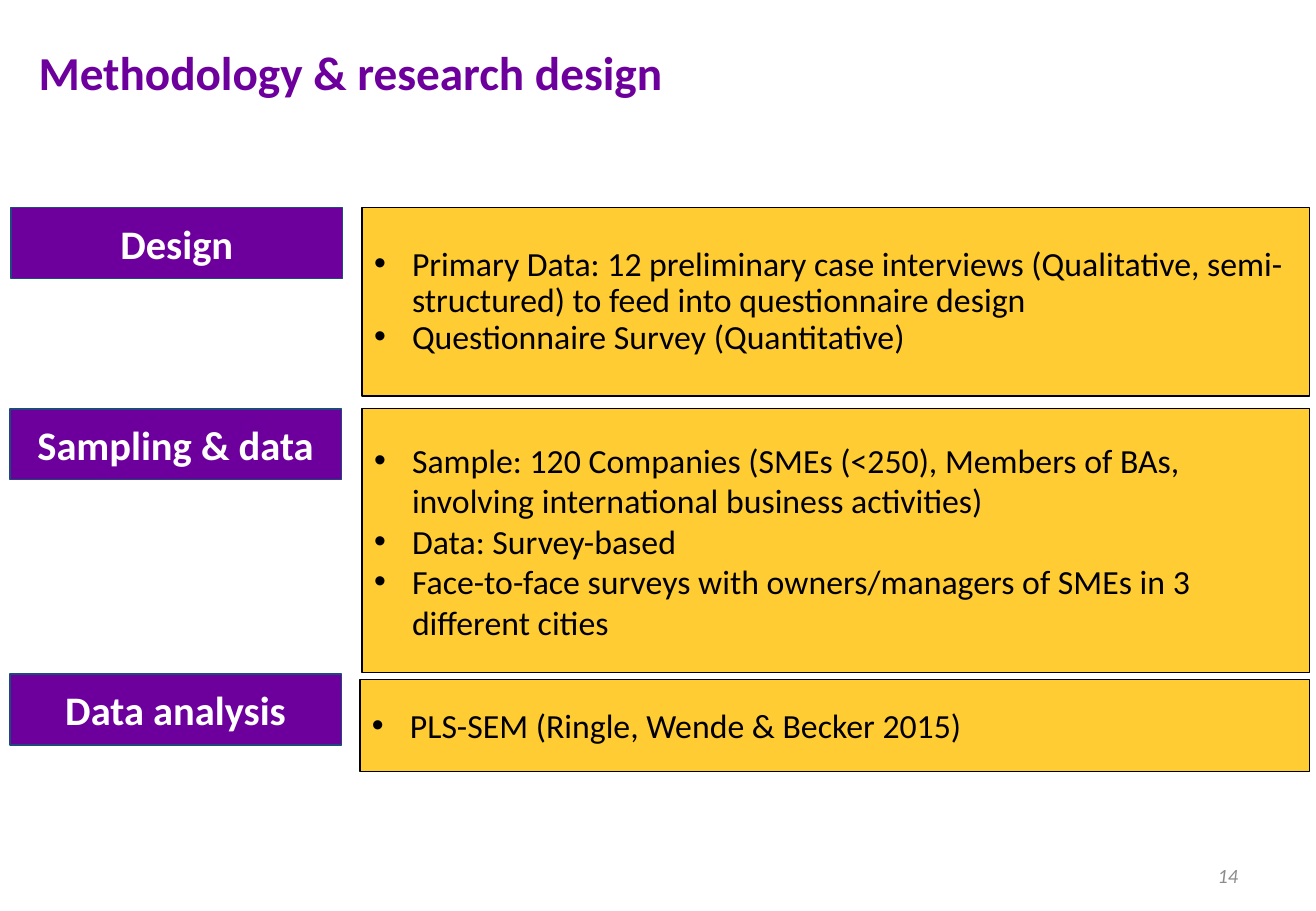
"""Builds the methodology and research design slide."""
from lxml.etree import SubElement
from pptx import Presentation
from pptx.dml.color import RGBColor
from pptx.enum.shapes import MSO_SHAPE
from pptx.enum.text import MSO_ANCHOR, PP_ALIGN
from pptx.oxml.ns import qn
from pptx.util import Pt

COLOURS = {"purple": "6D009D", "gold": "FFCC33", "navy": "1F497D",
           "black": "000000", "white": "FFFFFF", "grey": "8C8C8C"}


class MethodSlide:
    font = "Calibri"
    indent = 22.5

    def __init__(self, slide):
        self.slide = slide

    def colour(self, name):
        return RGBColor.from_string(COLOURS[name])

    def fill_text(self, frame, lines, size, colour, align=PP_ALIGN.LEFT,
                  bold=False, italic=False, bullets=False, spacing=None):
        frame.word_wrap = True
        frame.vertical_anchor = MSO_ANCHOR.MIDDLE
        for index, line in enumerate(lines):
            paragraph = frame.paragraphs[0] if index == 0 else frame.add_paragraph()
            paragraph.alignment = align
            if spacing:
                paragraph.line_spacing = spacing
            if bullets:
                self.bullet(paragraph)
            run = paragraph.add_run()
            run.text = line
            run.font.name = self.font
            run.font.size = Pt(size)
            run.font.bold = bold
            run.font.italic = italic
            run.font.color.rgb = self.colour(colour)

    def bullet(self, paragraph):
        properties = paragraph._p.get_or_add_pPr()
        properties.set("marL", str(Pt(self.indent)))
        properties.set("indent", str(-Pt(self.indent)))
        SubElement(properties, qn("a:buFont"), typeface="Arial")
        SubElement(properties, qn("a:buChar"), char="•")

    def text(self, left, top, width, height, line, **style):
        box = self.slide.shapes.add_textbox(Pt(left), Pt(top), Pt(width), Pt(height))
        self.fill_text(box.text_frame, [line], **style)

    def panel(self, left, top, width, height, fill, edge, weight, lines, **style):
        panel = self.slide.shapes.add_shape(
            MSO_SHAPE.RECTANGLE, Pt(left), Pt(top), Pt(width), Pt(height))
        panel.shadow.inherit = False
        panel.fill.solid()
        panel.fill.fore_color.rgb = self.colour(fill)
        panel.line.color.rgb = self.colour(edge)
        panel.line.width = Pt(weight)
        self.fill_text(panel.text_frame, lines, **style)

    def heading(self, left, top, label):
        self.panel(left, top, 196.6, 42, "purple", "navy", 1, [label],
                   size=24, colour="white", align=PP_ALIGN.CENTER, bold=True)

    def details(self, left, top, height, lines, spacing):
        self.panel(left, top, 776 - left, height, "gold", "black", 0.75, lines,
                   size=20, colour="black", bullets=True, spacing=spacing)


def main():
    deck = Presentation()
    deck.slide_width, deck.slide_height = Pt(780), Pt(540)
    method = MethodSlide(deck.slides.add_slide(deck.slide_layouts[6]))

    method.text(15.8, 9.4, 743, 65.5, "Methodology & research design",
                size=28, colour="purple", bold=True)

    stages = [
        ("Design", 6.5, 123.1, 214.6, 123.1, 111.6, 0.9, [
            "Primary Data: 12 preliminary case interviews (Qualitative, "
            "semi-structured) to feed into questionnaire design",
            "Questionnaire Survey (Quantitative)"]),
        ("Sampling & data", 5.8, 242.3, 214.6, 242.3, 156.2, None, [
            "Sample: 120 Companies (SMEs (<250), Members of BAs, "
            "involving international business activities)",
            "Data: Survey-based",
            "Face-to-face surveys with owners/managers of SMEs in 3 different cities"]),
        ("Data analysis", 5.8, 399.6, 213.4, 402.6, 54.7, None, [
            "PLS-SEM (Ringle, Wende & Becker 2015)"]),
    ]
    for label, label_left, label_top, left, top, height, spacing, points in stages:
        method.heading(label_left, label_top, label)
        method.details(left, top, height, points, spacing)

    method.text(558.7, 508.3, 182.2, 20.9, "14",
                size=12, colour="grey", align=PP_ALIGN.RIGHT, italic=True)
    deck.save("out.pptx")


if __name__ == "__main__":
    main()
